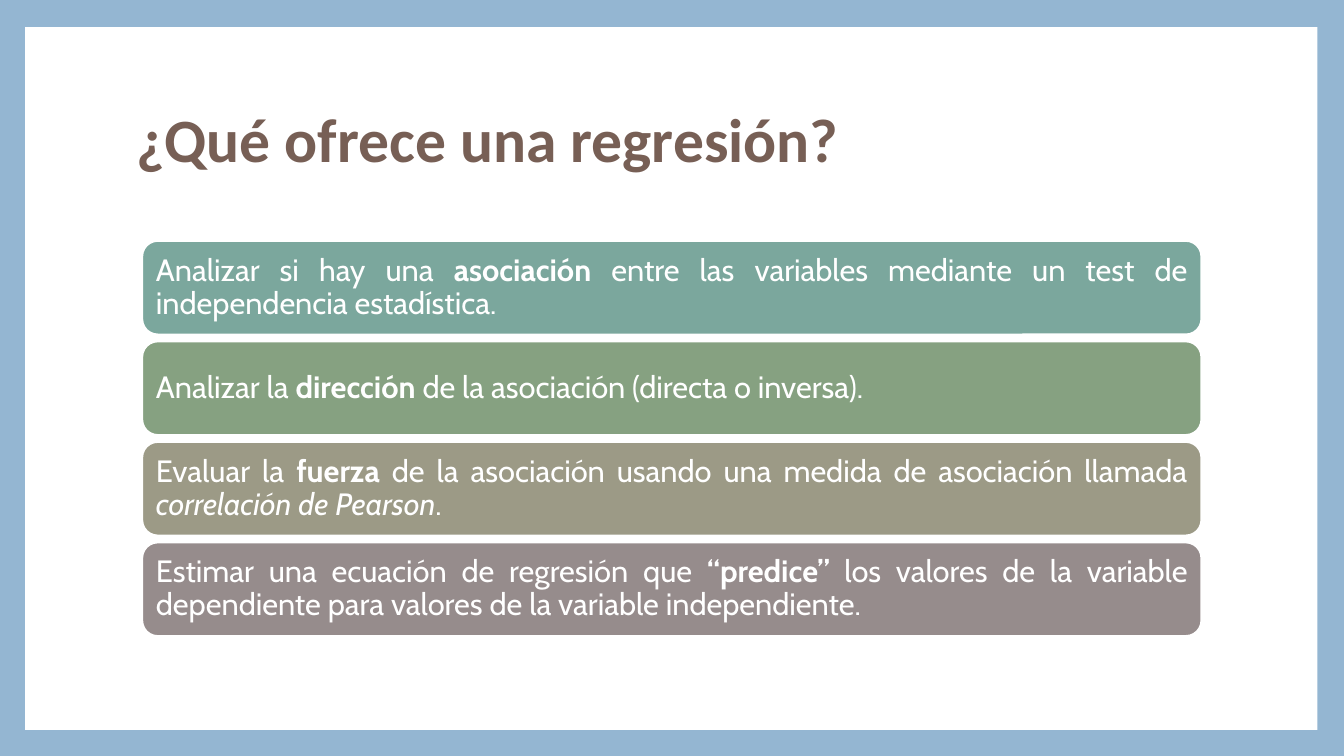
from dataclasses import dataclass

from pptx import Presentation
from pptx.dml.color import RGBColor
from pptx.enum.shapes import MSO_SHAPE as Preset
from pptx.enum.text import MSO_ANCHOR as Anchor, PP_ALIGN as Align
from pptx.shapes.autoshape import Shape
from pptx.slide import Slide
from pptx.text.text import _Paragraph as Paragraph
from pptx.util import Pt

WHITE = "FFFFFF"
BAR_LEFT, BAR_TOP, BAR_WIDTH, BAR_HEIGHT = 101.5, 172, 756.7, 67
BAR_PITCH = 71.8


@dataclass(frozen=True)
class Piece:
    text: str
    bold: bool = False
    italic: bool = False


@dataclass(frozen=True)
class Bar:
    fill: str
    pieces: tuple[Piece, ...]
    align: Align = Align.JUSTIFY


BARS = (
    Bar("7BA79D", (
        Piece("Analizar si hay una "),
        Piece("asociación ", bold=True),
        Piece("entre las variables mediante un test de independencia estadística."),
    )),
    Bar("86A181", (
        Piece("Analizar la "),
        Piece("dirección ", bold=True),
        Piece("de la asociación (directa o inversa)."),
    ), Align.LEFT),
    Bar("9C9A86", (
        Piece("Evaluar la "),
        Piece("fuerza ", bold=True),
        Piece("de la asociación usando una medida de asociación llamada "),
        Piece("correlación de Pearson", italic=True),
        Piece("."),
    )),
    Bar("968C8C", (
        Piece("Estimar una ecuación de regresión que "),
        Piece("“predice” ", bold=True),
        Piece("los valores de la variable dependiente para valores de la variable independiente."),
    )),
)


def color(code: str) -> RGBColor:
    return RGBColor.from_string(code)


def add_run(paragraph: Paragraph, piece: Piece, font: str, size: float, code: str) -> None:
    run = paragraph.add_run()
    run.text = piece.text
    run.font.name = font
    run.font.size = Pt(size)
    run.font.bold = piece.bold
    run.font.italic = piece.italic
    run.font.color.rgb = color(code)


def add_filled_shape(slide: Slide, preset: Preset, left: float, top: float,
                     width: float, height: float, fill: str) -> Shape:
    shape = slide.shapes.add_shape(preset, Pt(left), Pt(top), Pt(width), Pt(height))
    shape.shadow.inherit = False
    shape.fill.solid()
    shape.fill.fore_color.rgb = color(fill)
    shape.line.fill.background()
    return shape


def add_panel(slide: Slide) -> None:
    """Draw the white panel behind everything else."""
    panel = add_filled_shape(slide, Preset.RECTANGLE, 18, 19.4, 923, 502, WHITE)
    slide.shapes._spTree.insert(2, panel._element)


def fill_title(slide: Slide) -> None:
    title = slide.shapes.title
    title.left, title.top, title.width, title.height = Pt(90), Pt(48.2), Pt(777.6), Pt(106.6)
    title.text_frame.vertical_anchor = Anchor.MIDDLE
    paragraph = title.text_frame.paragraphs[0]
    paragraph.alignment = Align.LEFT
    paragraph.line_spacing = 0.9
    add_run(paragraph, Piece("¿Qué ofrece una regresión?", bold=True), "Calibri", 44, "775F55")


def add_bar(slide: Slide, bar: Bar, top: float) -> None:
    shape = add_filled_shape(slide, Preset.ROUNDED_RECTANGLE,
                             BAR_LEFT, top, BAR_WIDTH, BAR_HEIGHT, bar.fill)
    shape.line.color.rgb = color(WHITE)
    shape.line.width = Pt(1.5)
    frame = shape.text_frame
    frame.word_wrap = True
    frame.vertical_anchor = Anchor.MIDDLE
    # The rounded corners add their own inset of about 3 points
    frame.margin_left = frame.margin_right = Pt(6.6)
    frame.margin_top = frame.margin_bottom = Pt(3)
    paragraph = frame.paragraphs[0]
    paragraph.alignment = bar.align
    paragraph.line_spacing = 0.9
    for piece in bar.pieces:
        add_run(paragraph, piece, "Cabin", 22, WHITE)


def main() -> None:
    presentation = Presentation()
    presentation.slide_width, presentation.slide_height = Pt(960), Pt(540)
    slide = presentation.slides.add_slide(presentation.slide_layouts.get_by_name("Title Only"))
    slide.background.fill.solid()
    slide.background.fill.fore_color.rgb = color("94B6D2")
    add_panel(slide)
    fill_title(slide)
    for index, bar in enumerate(BARS):
        add_bar(slide, bar, BAR_TOP + index * BAR_PITCH)
    presentation.save("out.pptx")


if __name__ == "__main__":
    main()
